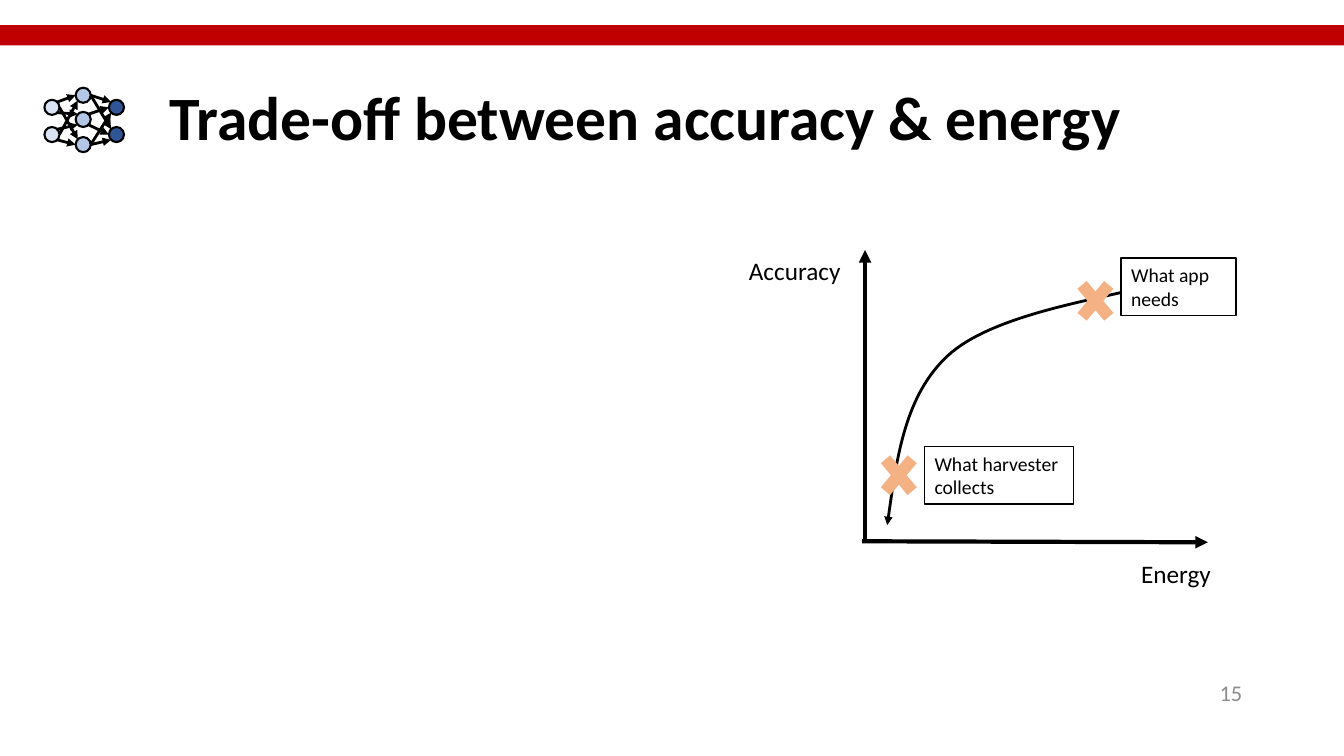
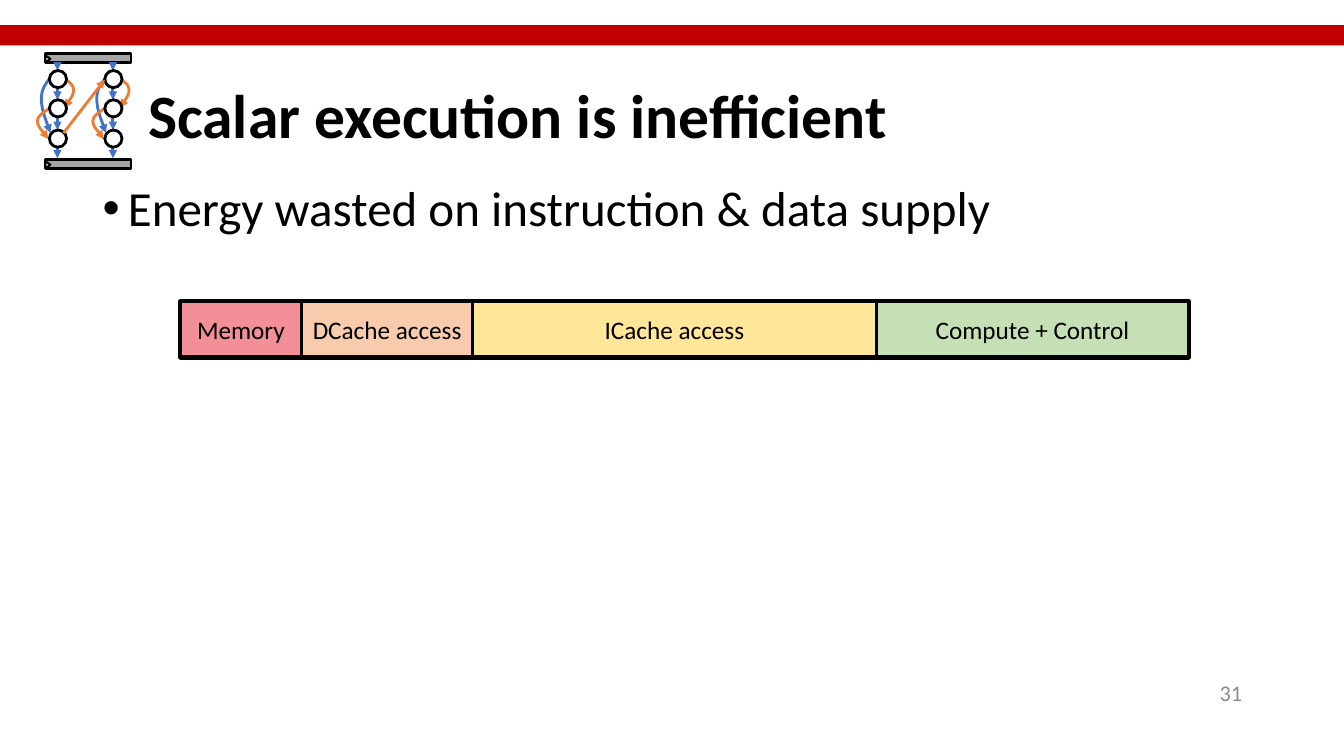
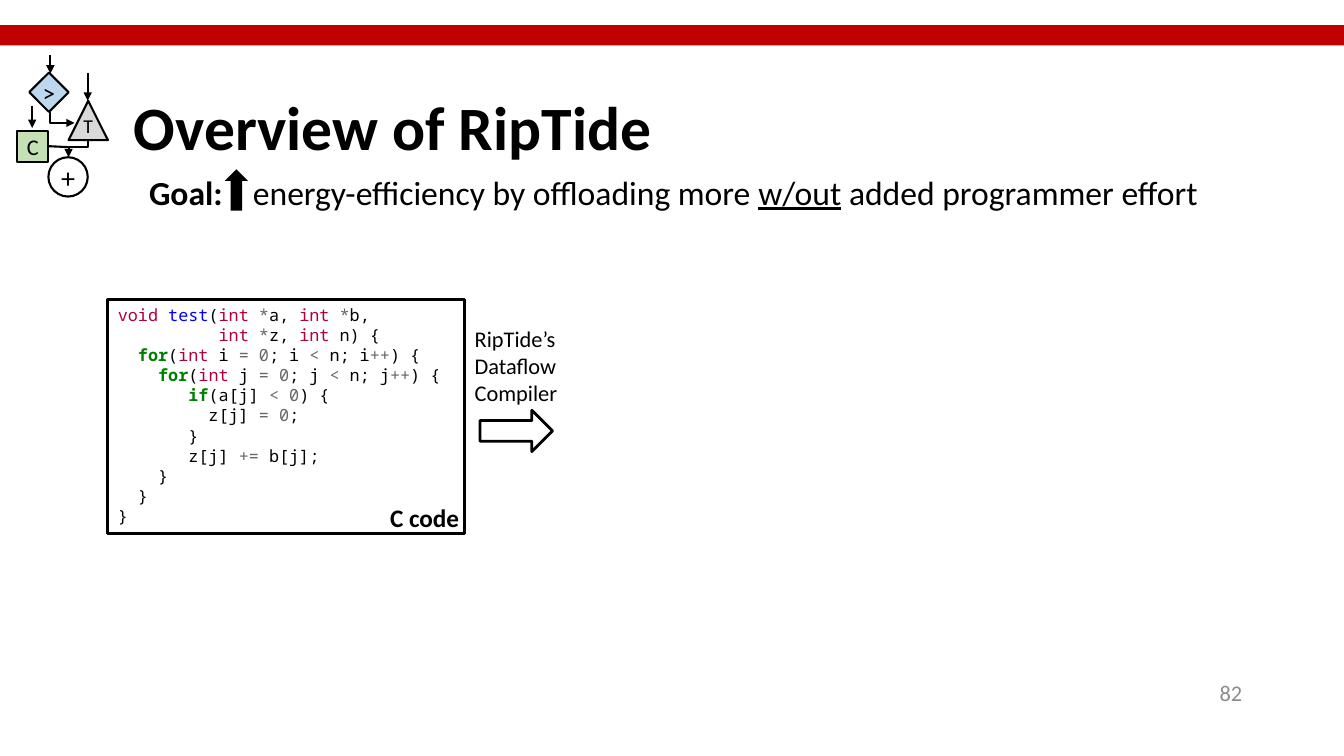
from dataclasses import dataclass
from itertools import accumulate, groupby, product
from math import cos, radians, sin
from typing import Any

from lxml.etree import Element, SubElement
from pptx import Presentation
from pptx.dml.color import RGBColor
from pptx.enum.shapes import MSO_CONNECTOR, MSO_SHAPE
from pptx.enum.text import MSO_ANCHOR, PP_ALIGN
from pptx.oxml.ns import qn
from pptx.util import Inches, Pt

PAGE_WIDTH, PAGE_HEIGHT = 13.33, 7.5
TEXT_FONT, CODE_FONT = "Calibri", "Noto Sans Mono"
INSETS = (0.1, 0.05, 0.1, 0.05)
NO_INSETS = (0, 0, 0, 0)

BLACK = RGBColor(0x00, 0x00, 0x00)
WHITE = RGBColor(0xFF, 0xFF, 0xFF)
BAND_RED = RGBColor(0xC0, 0x00, 0x00)
NUMBER_GRAY = RGBColor(0x8C, 0x8C, 0x8C)
BAR_GRAY = RGBColor(0xA6, 0xA6, 0xA6)
NOTCH_GRAY = RGBColor(0xF2, 0xF2, 0xF2)
STEER_GRAY = RGBColor(0xD9, 0xD9, 0xD9)
INPUT_BLUE = RGBColor(0xDA, 0xE3, 0xF3)
HIDDEN_BLUE = RGBColor(0xB4, 0xC7, 0xE7)
OUTPUT_BLUE = RGBColor(0x2F, 0x55, 0x97)
COMPARE_BLUE = RGBColor(0xBD, 0xD7, 0xEE)
FLOW_BLUE = RGBColor(0x44, 0x72, 0xC4)
FLOW_ORANGE = RGBColor(0xED, 0x7D, 0x31)
MARK_ORANGE = RGBColor(0xF4, 0xB1, 0x83)
PINK = RGBColor(0xF3, 0x90, 0x97)
PEACH = RGBColor(0xF8, 0xCB, 0xAD)
YELLOW = RGBColor(0xFF, 0xE6, 0x99)
GREEN = RGBColor(0xC5, 0xE0, 0xB4)
CODE_TYPE = RGBColor(0xB0, 0x00, 0x40)
CODE_NAME = RGBColor(0x00, 0x00, 0xFF)
CODE_KEYWORD = RGBColor(0x00, 0x80, 0x00)
CODE_OPERATOR = RGBColor(0x66, 0x66, 0x66)

WORD_COLORS = {"void": CODE_TYPE, "int": CODE_TYPE, "test": CODE_NAME,
               "for": CODE_KEYWORD, "if": CODE_KEYWORD, "0": CODE_OPERATOR}
C_CODE = """void test(int *a, int *b,
          int *z, int n) {
  for(int i = 0; i < n; i++) {
    for(int j = 0; j < n; j++) {
       if(a[j] < 0) {
         z[j] = 0;
       }
       z[j] += b[j];
    }
  }
}"""


def add_heads(shape, start, end):
    outline = shape.element.spPr.find(qn("a:ln"))
    for tag, wanted in (("a:headEnd", start), ("a:tailEnd", end)):
        if wanted:
            SubElement(outline, qn(tag), type="triangle")


def bend(shape):
    """Turn each three straight segments of a freeform into one Bézier curve."""
    path = shape.element.find(".//" + qn("a:path"))
    segments = path.findall(qn("a:lnTo"))
    for first in range(0, len(segments), 3):
        curve = Element(qn("a:cubicBezTo"))
        segments[first].addprevious(curve)
        for segment in segments[first:first + 3]:
            curve.append(segment[0])
            path.remove(segment)


def add_span(para, text, size, color=BLACK, bold=False, underline=False,
             font=TEXT_FONT):
    span = para.add_run()
    span.text = text
    span.font.name = font
    span.font.size = Pt(size)
    span.font.bold = bold
    span.font.underline = underline
    span.font.color.rgb = color


def set_frame(box, anchor=MSO_ANCHOR.TOP, insets=INSETS):
    frame = box.text_frame
    frame.word_wrap = True
    frame.vertical_anchor = anchor
    (frame.margin_left, frame.margin_top,
     frame.margin_right, frame.margin_bottom) = map(Inches, insets)
    return frame


def write(box, text, size, color=BLACK, bold=False, align=PP_ALIGN.LEFT,
          anchor=MSO_ANCHOR.TOP, insets=INSETS, spacing=None):
    """Write one paragraph for each line of the text."""
    frame = set_frame(box, anchor, insets)
    for index, line in enumerate(text.split("\n")):
        para = frame.add_paragraph() if index else frame.paragraphs[0]
        para.alignment = align
        para.line_spacing = spacing
        add_span(para, line, size, color, bold)
    return frame.paragraphs[0]


@dataclass(frozen=True)
class Grid:
    """A region of a page, measured in its own columns and rows."""
    page: Any
    left: float
    top: float
    width: float
    height: float
    columns: float
    rows: float

    def point(self, column, row):
        return (Inches(self.left + column * self.width / self.columns),
                Inches(self.top + row * self.height / self.rows))

    def frame(self, column, row, columns, rows):
        return (*self.point(column, row),
                Inches(columns * self.width / self.columns),
                Inches(rows * self.height / self.rows))

    def shape(self, kind, place, fill=None, color=None, weight=1):
        shape = self.page.shapes.add_shape(kind, *self.frame(*place))
        shape.shadow.inherit = False
        if fill is None:
            shape.fill.background()
        else:
            shape.fill.solid()
            shape.fill.fore_color.rgb = fill
        if color is None:
            shape.line.fill.background()
        else:
            shape.line.color.rgb = color
            shape.line.width = Pt(weight)
        return shape

    def text_box(self, place):
        return self.page.shapes.add_textbox(*self.frame(*place))

    def arrow(self, start, end, color=BLACK, weight=2, head=True):
        line = self.page.shapes.add_connector(
            MSO_CONNECTOR.STRAIGHT, *self.point(*start), *self.point(*end))
        line.line.color.rgb = color
        line.line.width = Pt(weight)
        add_heads(line, False, head)
        SubElement(line.element.spPr, qn("a:effectLst"))

    def route(self, points, color=BLACK, weight=2, curved=False, both=False):
        """Draw an open outline that ends in an arrowhead."""
        first, *others = [self.point(*point) for point in points]
        builder = self.page.shapes.build_freeform(*first)
        builder.add_line_segments(others, close=False)
        shape = builder.convert_to_shape()
        shape.shadow.inherit = False
        shape.fill.background()
        shape.line.color.rgb = color
        shape.line.width = Pt(weight)
        if curved:
            bend(shape)
        add_heads(shape, both, True)


def start_page(deck, title, title_place, number):
    page = deck.slides.add_slide(deck.slide_layouts[6])
    sheet = Grid(page, 0, 0, PAGE_WIDTH, PAGE_HEIGHT, PAGE_WIDTH, PAGE_HEIGHT)
    sheet.shape(MSO_SHAPE.RECTANGLE, (0, 0.25, PAGE_WIDTH, 0.2), BAND_RED)
    write(sheet.text_box((*title_place, 11.5, 1.45)), title, 44, bold=True,
          anchor=MSO_ANCHOR.MIDDLE, spacing=0.9)
    write(sheet.text_box((9.42, 6.67, 3, 0.4)), str(number), 16, NUMBER_GRAY,
          align=PP_ALIGN.RIGHT, anchor=MSO_ANCHOR.MIDDLE)
    return sheet


def draw_network_icon(grid):
    radius = 7.5
    layers = [(9.5, (31.5, 58.5), INPUT_BLUE),
              (40.5, (19.5, 43.5, 68.5), HIDDEN_BLUE),
              (73.5, (31.5, 58.5), OUTPUT_BLUE)]
    angles = {"E": 0, "NE": 45, "NW": 135, "W": 180, "SW": 225, "SE": 315}
    links = [(0, 0, "NE", 0, "W"), (0, 0, "SE", 1, "NW"), (0, 0, "E", 2, "NW"),
             (0, 1, "E", 0, "SW"), (0, 1, "NE", 1, "SW"), (0, 1, "SE", 2, "W"),
             (1, 0, "E", 0, "NW"), (1, 0, "E", 1, "NW"), (1, 1, "NE", 0, "W"),
             (1, 1, "SE", 1, "W"), (1, 2, "E", 0, "SW"), (1, 2, "E", 1, "SW")]

    def rim(layer, node, side):
        column, rows, _ = layers[layer]
        angle = radians(angles[side])
        return column + radius * cos(angle), rows[node] - radius * sin(angle)

    for column, rows, fill in layers:
        for row in rows:
            grid.shape(MSO_SHAPE.OVAL, (column - radius, row - radius,
                                        2 * radius, 2 * radius),
                       fill, BLACK, 1.5)
    for layer, source, source_side, target, target_side in links:
        grid.arrow(rim(layer, source, source_side),
                   rim(layer + 1, target, target_side))


def draw_tradeoff_plot(grid):
    grid.arrow((12.5, 28.7), (12.5, 0), weight=3)
    grid.arrow((12.2, 28.9), (46.5, 29), weight=3)
    for label, column, row in (("Accuracy", 0, 0), ("Energy", 38.9, 30.1)):
        write(grid.text_box((column, row, 13, 4)), label, 18)
    grid.route([(14.7, 27.3), (15.6, 20.9), (16.5, 14.4), (20.7, 10.5),
                (24.9, 6.6), (35.7, 4.9), (40, 3.7)], curved=True, both=True)
    callouts = [("What harvester collects", 13.3, 19.3, 0.2, 14.8),
                ("What app needs", 32.8, 2, -1.2, 11.4)]
    for text, column, row, shift, width in callouts:
        grid.shape(MSO_SHAPE.MATH_MULTIPLY, (column, row, 5.1, 6.1), MARK_ORANGE)
        note = grid.shape(MSO_SHAPE.RECTANGLE,
                          (column + 5.1, row + shift, width, 5.7), WHITE, BLACK)
        write(note, text, 14)


def draw_pipeline_icon(grid):
    for row in (3, 108):
        grid.shape(MSO_SHAPE.RECTANGLE, (8, row, 85, 9), BAR_GRAY, BLACK, 2)
        notch = grid.shape(MSO_SHAPE.ISOSCELES_TRIANGLE, (7, row + 3, 7, 5),
                           NOTCH_GRAY, BLACK, 1.5)
        notch.rotation = 90
    steps = [(15, 20), (37, 49), (67, 79), (95, 107)]
    bypasses = [
        (FLOW_BLUE, [(13, 27), (8, 33), (4, 39), (4, 48),
                     (4, 58), (11, 76), (13, 82)]),
        (FLOW_ORANGE, [(11, 58), (6, 62), (0, 65), (0, 70),
                       (0, 75), (9, 85), (11, 88)]),
        (FLOW_ORANGE, [(27, 28), (31, 31), (36, 34), (36, 39),
                       (36, 44), (29, 54), (27, 57)])]
    lanes = (0, 55)
    for lane, (start, end) in product(lanes, steps):
        grid.arrow((lane + 20, start), (lane + 20, end), FLOW_BLUE)
    for lane, (color, points) in product(lanes, bypasses):
        grid.route([(lane + column, row) for column, row in points], color,
                   curved=True)
    for lane, row in product(lanes, (20, 49, 79)):
        grid.shape(MSO_SHAPE.OVAL, (lane + 12, row, 17, 17), WHITE, BLACK, 2)
    grid.arrow((26, 82), (67, 29), FLOW_ORANGE)


def draw_energy_bar(grid):
    parts = [("Memory", 12, PINK), ("DCache access", 17, PEACH),
             ("ICache access", 40, YELLOW), ("Compute + Control", 31, GREEN)]
    grid.shape(MSO_SHAPE.RECTANGLE, (0, 0, grid.columns, grid.rows),
               WHITE, BLACK, 4)
    starts = accumulate((share for _, share, _ in parts), initial=0)
    for start, (label, share, fill) in zip(starts, parts):
        part = grid.shape(MSO_SHAPE.RECTANGLE, (start, 0, share, grid.rows),
                          fill, BLACK, 2)
        write(part, label, 18, align=PP_ALIGN.CENTER,
              anchor=MSO_ANCHOR.MIDDLE, insets=NO_INSETS)


def draw_dataflow_icon(grid):
    nodes = [
        (MSO_SHAPE.ISOSCELES_TRIANGLE, 51, 45, 39, STEER_GRAY, "T", 14, 0.1),
        (MSO_SHAPE.RECTANGLE, 0, 75, 31, GREEN, "C", 16, 0),
        (MSO_SHAPE.DIAMOND, 12, 17, 39, COMPARE_BLUE, ">", 18, 0),
        (MSO_SHAPE.OVAL, 31, 101, 39, WHITE, "+", 20, 0)]
    for kind, column, row, side, fill, symbol, size, bottom in nodes:
        node = grid.shape(kind, (column, row, side, side), fill, BLACK, 1.5)
        write(node, symbol, size, align=PP_ALIGN.CENTER,
              anchor=MSO_ANCHOR.MIDDLE, insets=(0, 0, 0, bottom))
    grid.route([(70, 83), (70, 91), (51, 91), (51, 101)], weight=1.5)
    grid.route([(33, 56), (33, 67), (57, 67)], weight=1.5)
    for column, start, end in ((70, 17, 45), (33, 0, 18), (15, 50, 72)):
        grid.arrow((column, start), (column, end), weight=1.5)
    grid.arrow((31, 90), (51, 91), weight=1.5, head=False)


def write_goal(grid):
    para = set_frame(grid.text_box((0, 0, grid.columns, grid.rows))).paragraphs[0]
    stops = SubElement(para._p.get_or_add_pPr(), qn("a:tabLst"))
    SubElement(stops, qn("a:tab"), pos=str(Inches(1.03)), algn="l")
    para.line_spacing = 0.9
    add_span(para, "Goal:", 24, bold=True)
    add_span(para, "\tenergy-efficiency by offloading more ", 24)
    add_span(para, "w/out", 24, underline=True)
    add_span(para, " added programmer effort", 24)
    grid.shape(MSO_SHAPE.UP_ARROW, (0.85, -0.02, 0.23, 0.41), BLACK)


def token_kind(letter):
    if letter.isalnum():
        return "word"
    return "operator" if letter in "*=<+" else "plain"


def write_code(box, code):
    """Write the code with its words and operators coloured."""
    frame = set_frame(box)
    for index, line in enumerate(code.split("\n")):
        para = frame.add_paragraph() if index else frame.paragraphs[0]
        para.alignment = PP_ALIGN.LEFT
        for kind, letters in groupby(line, token_kind):
            token = "".join(letters)
            color = (CODE_OPERATOR if kind == "operator"
                     else WORD_COLORS.get(token, BLACK))
            add_span(para, token, 12, color, color == CODE_KEYWORD,
                     font=CODE_FONT)


def draw_compiler_flow(grid):
    listing = grid.shape(MSO_SHAPE.RECTANGLE, (0, 0, 35.4, 23.2),
                         color=BLACK, weight=2)
    write_code(listing, C_CODE)
    write(grid.text_box((27, 19.6, 10, 4)), "C code", 18, bold=True)
    write(grid.text_box((35.4, 2.1, 11.5, 9.1)),
          "RipTide’s\nDataflow\nCompiler", 16)
    grid.shape(MSO_SHAPE.RIGHT_ARROW, (36.9, 11, 7.2, 4.1), WHITE, BLACK, 2)


def build_tradeoff(deck):
    page = start_page(deck, "Trade-off between accuracy & energy",
                      (1.58, 0.47), 15).page
    draw_network_icon(Grid(page, 0.42, 0.75, 0.84, 0.85, 84, 85))
    draw_tradeoff_plot(Grid(page, 7.33, 2.48, 5, 3.6, 50, 36))


def build_scalar(deck):
    sheet = start_page(deck, "Scalar execution is inefficient", (1.37, 0.45), 31)
    draw_energy_bar(Grid(sheet.page, 1.79, 2.99, 10, 0.55, 100, 1))
    body = sheet.text_box((0.92, 1.78, 11.5, 0.82))
    para = body.text_frame.paragraphs[0]
    settings = para._p.get_or_add_pPr()
    settings.set("marL", str(Inches(0.25)))
    settings.set("indent", str(-Inches(0.25)))
    SubElement(settings, qn("a:buFont"), typeface="Arial")
    SubElement(settings, qn("a:buChar"), char="•")
    write(body, "Energy wasted on instruction & data supply", 35, spacing=0.9)
    draw_pipeline_icon(Grid(sheet.page, 0.37, 0.5, 0.95, 1.2, 95, 120))


def build_overview(deck):
    page = start_page(deck, "Overview of RipTide", (1.23, 0.57), 82).page
    write_goal(Grid(page, 1.38, 1.7, 11.19, 0.6, 11.19, 0.6))
    draw_dataflow_icon(Grid(page, 0.17, 0.55, 0.9, 1.4, 90, 140))
    draw_compiler_flow(Grid(page, 1.07, 2.97, 4.7, 2.4, 47, 24))


def main():
    deck = Presentation()
    deck.slide_width = Inches(PAGE_WIDTH)
    deck.slide_height = Inches(PAGE_HEIGHT)
    build_tradeoff(deck)
    build_scalar(deck)
    build_overview(deck)
    deck.save("out.pptx")


if __name__ == "__main__":
    main()
